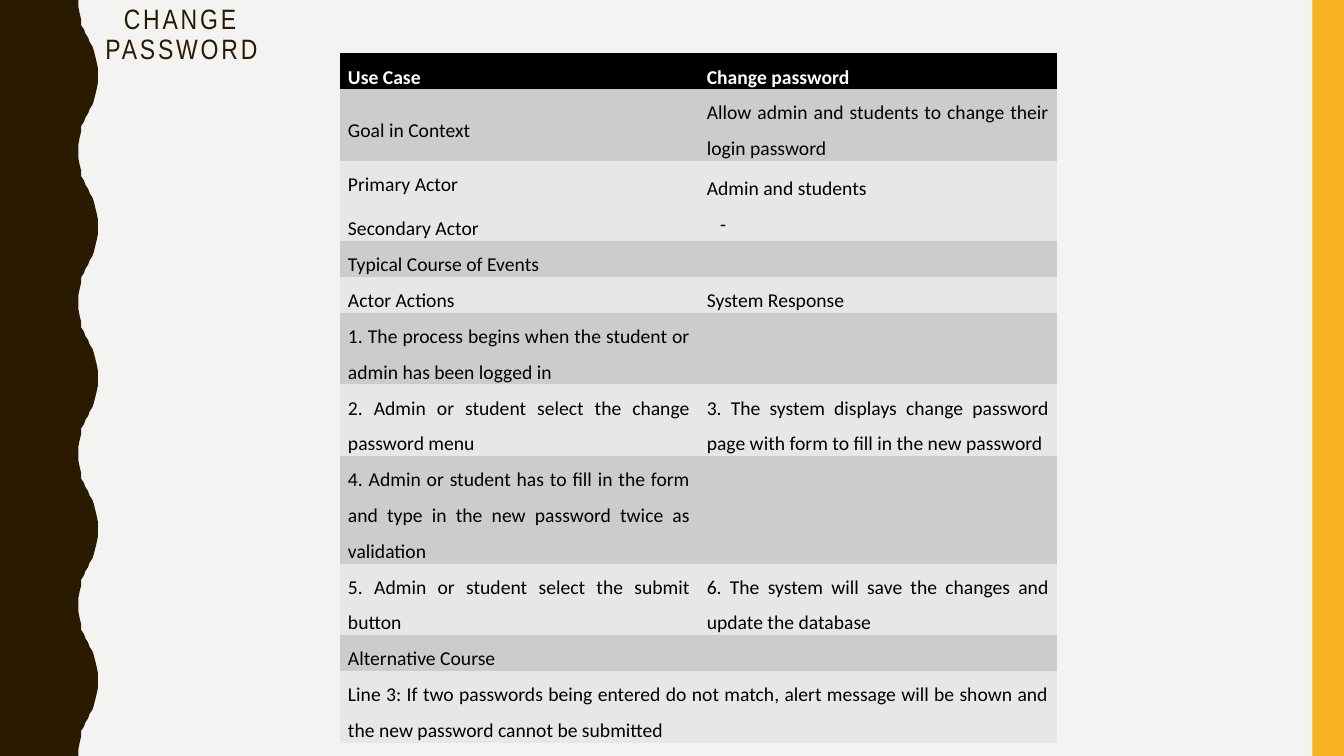
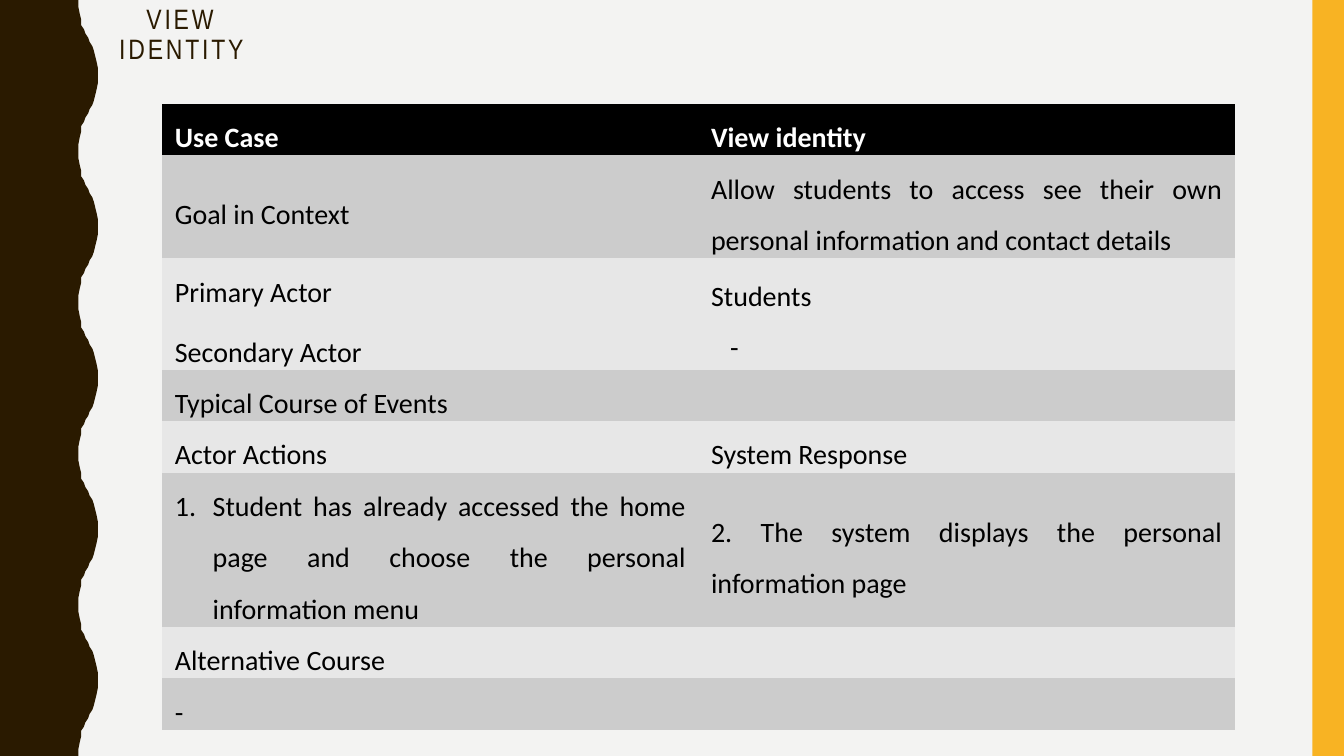
from dataclasses import dataclass

from lxml import etree
from pptx import Presentation
from pptx.dml.color import RGBColor
from pptx.enum.shapes import MSO_SHAPE
from pptx.enum.text import MSO_ANCHOR, MSO_AUTO_SIZE, PP_ALIGN
from pptx.oxml.ns import qn
from pptx.util import Pt

RECTANGLE = MSO_SHAPE.RECTANGLE
MIDDLE = MSO_ANCHOR.MIDDLE
NO_AUTOFIT = MSO_AUTO_SIZE.NONE
CENTER = PP_ALIGN.CENTER
JUSTIFY = PP_ALIGN.JUSTIFY
PLAIN_TABLE_STYLE = "{2D5ABB26-0587-4C30-8999-92F81FD0307C}"


@dataclass(frozen=True)
class Theme:
    background: str = "F3F3F2"
    brown: str = "2A1A00"
    amber: str = "F8B323"
    header: str = "000000"
    header_text: str = "FFFFFF"
    body_text: str = "000000"
    bands: tuple = ("E7E7E7", "CCCCCC")
    title_font: str = "Arial Narrow"
    body_font: str = "Calibri"
    title_size: int = 20
    title_tracking: int = 2
    actor_gap: int = 6


THEME = Theme()


def paint(fill, color):
    fill.solid()
    fill.fore_color.rgb = RGBColor.from_string(color)


def write(frame, text, *, font, size, color, align, bold=False, line_spacing=1.0,
          space_after=0, tracking=0, dash_indent=0, number_indent=0):
    for index, line in enumerate(text.split("\n")):
        paragraph = frame.add_paragraph() if index else frame.paragraphs[0]
        properties = paragraph._p.get_or_add_pPr()
        if number_indent:
            properties.set("marL", str(Pt(number_indent)))
            properties.set("indent", str(-Pt(number_indent)))
            etree.SubElement(properties, qn("a:buFont"), typeface="+mj-lt")
            etree.SubElement(properties, qn("a:buAutoNum"), type="arabicPeriod")
        elif dash_indent and line == "-":
            properties.set("marL", str(Pt(dash_indent)))
        paragraph.alignment = align
        paragraph.line_spacing = line_spacing
        paragraph.space_after = Pt(space_after)
        run = paragraph.add_run()
        run.text = line
        run.font.name = font
        run.font.size = Pt(size)
        run.font.bold = bold
        run.font.color.rgb = RGBColor.from_string(color)
        if tracking:
            run._r.get_or_add_rPr().set("spc", str(tracking * 100))


USE_CASES = [
    dict(
        title="CHANGE PASSWORD", left=242.6, top=38.2, width=512.6,
        size=14, line_height=25.6, inset=6, numbered_row=None,
        rows=[
            (1, "Use Case", "Change password"),
            (2, "Goal in Context", "Allow admin and students to change their login password"),
            (2, "Primary Actor\nSecondary Actor", "Admin and students\n-"),
            (1, "Typical Course of Events", None),
            (1, "Actor Actions", "System Response"),
            (2, "1. The process begins when the student or admin has been logged in", ""),
            (2, "2. Admin or student select the change password menu",
             "3. The system displays change password page with form to fill in the new password"),
            (3, "4. Admin or student has to fill in the form and type in the new password twice "
                "as validation", ""),
            (2, "5. Admin or student select the submit button",
             "6. The system will save the changes and update the database"),
            (1, "Alternative Course", None),
            (2, "Line 3: If two passwords being entered do not match, alert message will be shown "
                "and the new password cannot be submitted", None),
        ],
    ),
    dict(
        title="VIEW IDENTITY", left=115.9, top=74.2, width=766,
        size=20, line_height=36.6, inset=9, numbered_row=5,
        rows=[
            (1, "Use Case", "View identity"),
            (2, "Goal in Context",
             "Allow students to access see their own personal information and contact details"),
            (2, "Primary Actor\nSecondary Actor", "Students\n-"),
            (1, "Typical Course of Events", None),
            (1, "Actor Actions", "System Response"),
            (3, "Student has already accessed the home page and choose the personal information menu",
             "2. The system displays the personal information page"),
            (1, "Alternative Course", None),
            (1, "-", None),
        ],
    ),
]

deck = Presentation()
deck.slide_width = Pt(960)
deck.slide_height = Pt(540)
layout = deck.slide_layouts[5]
paint(layout.background.fill, THEME.background)
slides = [deck.slides.add_slide(layout) for _ in USE_CASES]

half_wave = [(56, 0), (56.2, 5), (56.9, 10), (57.6, 14.4), (58.5, 18), (59.8, 21), (61.2, 24),
             (62.7, 27), (64.2, 30), (65.6, 33), (67, 36), (68.4, 39.6), (69.4, 44),
             (69.9, 49), (70, 54)]
wave = half_wave + [(x, 108 - y) for x, y in reversed(half_wave[:-1])]
edge = [(x, y + 108 * crest) for crest in range(5) for x, y in wave]
outline = slides[0].shapes.build_freeform(0, 0, scale=Pt(1))
outline.add_line_segments(edge + [(0, 540)], close=True)
wavy_band = outline.convert_to_shape()
amber_band = slides[0].shapes.add_shape(RECTANGLE, Pt(937.5), 0, Pt(22.5), Pt(540))
for band, color in ((wavy_band, THEME.brown), (amber_band, THEME.amber)):
    paint(band.fill, color)
    band.line.fill.background()
    band.shadow.inherit = False
    layout.shapes.element.insert(2, band.element)

for slide, case in zip(slides, USE_CASES):
    title = slide.shapes.title
    title.left, title.top, title.width, title.height = Pt(57.6), Pt(7.2), Pt(144), Pt(36)
    title.text_frame.word_wrap = True
    title.text_frame.auto_size = NO_AUTOFIT
    title.text_frame.vertical_anchor = MIDDLE
    write(title.text_frame, case["title"], font=THEME.title_font, size=THEME.title_size,
          color=THEME.brown, align=CENTER, line_spacing=0.9, tracking=THEME.title_tracking)

    rows = case["rows"]
    heights = [lines * case["line_height"] + THEME.actor_gap * left.count("\n")
               for lines, left, _ in rows]
    table_frame = slide.shapes.add_table(len(rows), 2, Pt(case["left"]), Pt(case["top"]),
                                         Pt(case["width"]), Pt(sum(heights)))
    table_frame.element.find(".//" + qn("a:tableStyleId")).text = PLAIN_TABLE_STYLE
    table = table_frame.table
    for row, (_, *texts) in enumerate(rows):
        table.rows[row].height = Pt(heights[row])
        for column, text in enumerate(texts):
            cell = table.cell(row, column)
            paint(cell.fill, THEME.bands[row % 2] if row else THEME.header)
            cell.margin_left = cell.margin_right = Pt(case["inset"])
            cell.margin_top = cell.margin_bottom = 0
            cell.vertical_anchor = MIDDLE
            if text:
                write(cell.text_frame, text, font=THEME.body_font, size=case["size"],
                      color=THEME.body_text if row else THEME.header_text,
                      align=JUSTIFY, bold=row == 0, line_spacing=1.5,
                      space_after=0 if column else THEME.actor_gap,
                      dash_indent=0.68 * case["size"] if column else 0,
                      number_indent=27 if (row, column) == (case["numbered_row"], 0) else 0)
        if texts[1] is None:
            table.cell(row, 0).merge(table.cell(row, 1))

deck.save("out.pptx")
